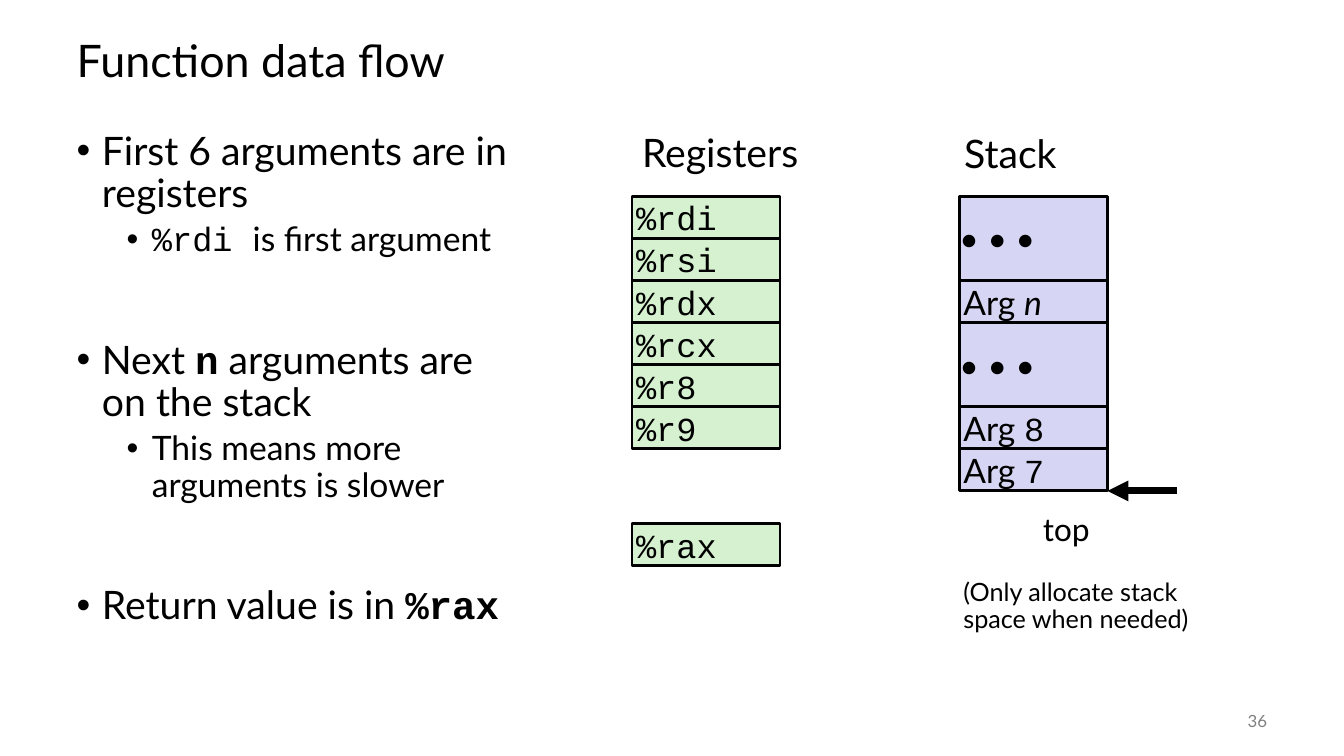
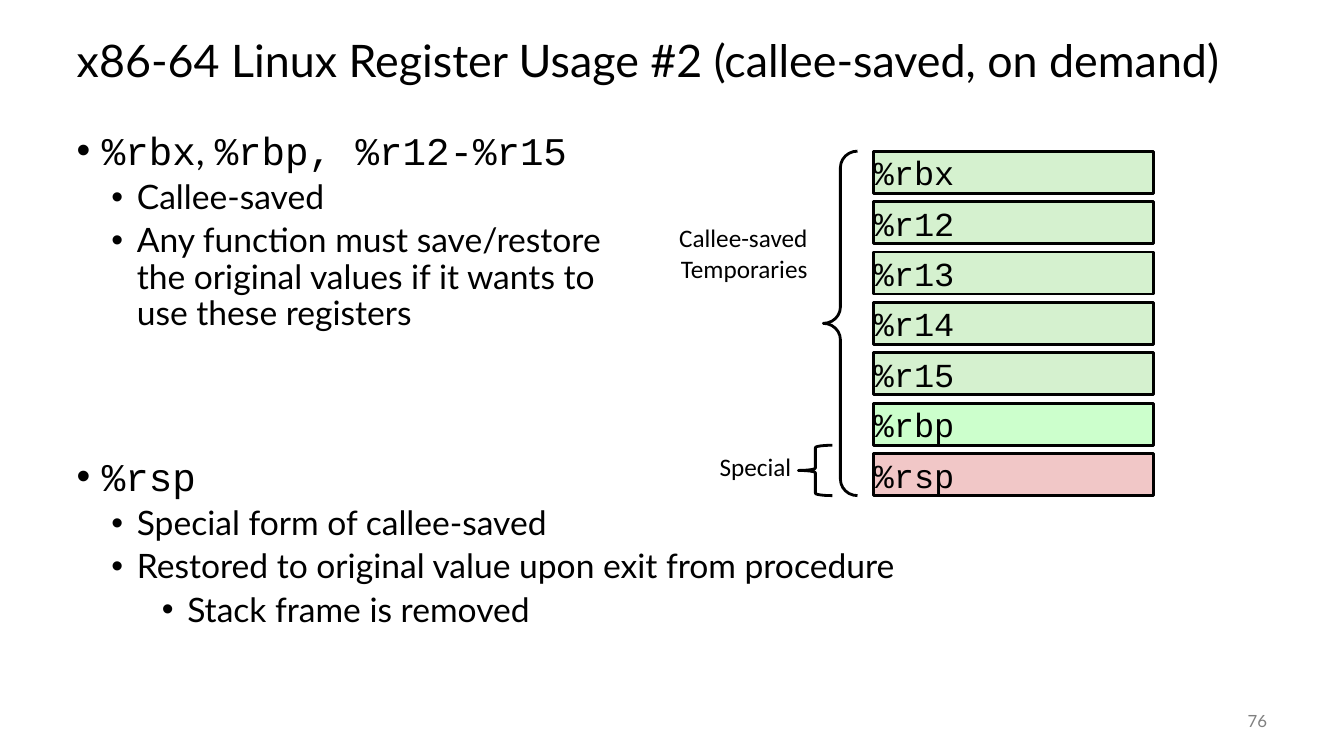
from lxml import etree
from pptx import Presentation
from pptx.dml.color import RGBColor
from pptx.enum.shapes import MSO_CONNECTOR, MSO_SHAPE
from pptx.enum.text import MSO_ANCHOR, MSO_AUTO_SIZE, PP_ALIGN
from pptx.oxml.ns import qn
from pptx.util import Cm, Pt

RECTANGLE, LEFT_BRACE = MSO_SHAPE.RECTANGLE, MSO_SHAPE.LEFT_BRACE
STRAIGHT = MSO_CONNECTOR.STRAIGHT
TOP, MIDDLE = MSO_ANCHOR.TOP, MSO_ANCHOR.MIDDLE
LEFT, RIGHT = PP_ALIGN.LEFT, PP_ALIGN.RIGHT
NO_AUTOFIT = MSO_AUTO_SIZE.NONE

COLORS = {
    "ink": "000000",
    "page_number": "808080",
    "register": "D5F1CF",
    "frame_register": "CCFFCC",
    "stack_register": "F1C7C7",
    "stack": "D6D6F4",
}
SANS, CODE, LABEL = "Lato", "Courier New", "Calibri"
TITLE_ONLY = 5
ROW = 1.06
BULLET_GAP = 0.64
# size and space before for each bullet level
LEVELS = [(28, 14), (24, 5), (24, 5)]


def rgb(name):
    return RGBColor.from_string(COLORS[name])


def write(frame, *runs, size=24, font=SANS, color="ink", align=LEFT, spacing=0.9,
          before=0, level=0, bullet_at=None):
    """Add a paragraph; a run is a string or a (string, font overrides) pair."""
    paragraph = frame.paragraphs[0]
    if paragraph.runs:
        paragraph = frame.add_paragraph()
        paragraph.space_before = Pt(before)
    paragraph.level = level
    if bullet_at is not None:
        properties = paragraph._p.get_or_add_pPr()
        properties.set("marL", str(Cm(bullet_at)))
        properties.set("indent", str(-Cm(BULLET_GAP)))
        etree.SubElement(properties, qn("a:buFont")).set("typeface", "Arial")
        etree.SubElement(properties, qn("a:buChar")).set("char", "•")
    paragraph.alignment = align
    paragraph.line_spacing = spacing
    for item in runs:
        text, overrides = (item, {}) if isinstance(item, str) else item
        for number, line in enumerate(text.split("\n")):
            if number:
                paragraph.add_line_break()
            run = paragraph.add_run()
            run.text = line
            run.font.size = Pt(size)
            run.font.name = overrides.get("font", font)
            run.font.bold = overrides.get("bold", False)
            run.font.italic = overrides.get("italic", False)
            run.font.color.rgb = rgb(color)


def code(text, bold=False):
    return text, {"font": CODE, "bold": bold}


def set_insets(frame, inset):
    frame.margin_left = frame.margin_right = Cm(inset)
    frame.margin_top = frame.margin_bottom = Cm(inset)


def text_area(slide, left, top, width, height, anchor=TOP, inset=None):
    frame = slide.shapes.add_textbox(Cm(left), Cm(top), Cm(width), Cm(height)).text_frame
    frame.word_wrap = True
    frame.vertical_anchor = anchor
    if inset is not None:
        set_insets(frame, inset)
    return frame


def outlined(slide, preset, left, top, width, height, fill=None):
    shape = slide.shapes.add_shape(preset, Cm(left), Cm(top), Cm(width), Cm(height))
    shape.shadow.inherit = False
    shape.line.color.rgb = rgb("ink")
    shape.line.width = Pt(2)
    if fill:
        shape.fill.solid()
        shape.fill.fore_color.rgb = rgb(fill)
    else:
        shape.fill.background()
    return shape


def cell(slide, left, top, width, height, runs, fill="register", font=CODE, inset=0.1):
    frame = outlined(slide, RECTANGLE, left, top, width, height, fill).text_frame
    frame.vertical_anchor = MIDDLE
    set_insets(frame, inset)
    write(frame, *runs, font=font, spacing=1)


def brace(slide, left, top, height, curve):
    shape = outlined(slide, LEFT_BRACE, left, top, 0.86, height)
    shape.adjustments[0] = curve


def arrow(slide, start_x, end_x, y):
    line = slide.shapes.add_connector(STRAIGHT, Cm(start_x), Cm(y), Cm(end_x), Cm(y))
    line.line.color.rgb = rgb("ink")
    line.line.width = Pt(5)
    etree.SubElement(line.line._get_or_add_ln(), qn("a:tailEnd")).set("type", "triangle")
    etree.SubElement(line._element.spPr, qn("a:effectLst"))


def titled_slide(deck, title, number):
    slide = deck.slides.add_slide(deck.slide_layouts[TITLE_ONLY])
    heading = slide.shapes.title
    heading.left, heading.top = Cm(1.68), Cm(0.64)
    heading.width, heading.height = Cm(30.48), Cm(1.9)
    heading.text_frame.auto_size = NO_AUTOFIT
    heading.text_frame.vertical_anchor = MIDDLE
    write(heading.text_frame, title, size=32)
    page = text_area(slide, 29.64, 17.65, 2.54, 1.02, anchor=MIDDLE)
    write(page, str(number), size=12, color="page_number", align=RIGHT, spacing=1)
    return slide


def bullet_list(slide, width, indents, points):
    """Place (level, extra space before, runs) points, indented by level."""
    frame = text_area(slide, 1.68, 3.18, width, 13.97)
    for level, extra, runs in points:
        size, before = LEVELS[level]
        write(frame, *runs, size=size, before=before + extra, level=level,
              bullet_at=indents[level])


def argument_registers(slide, left, top, width):
    write(text_area(slide, left, top - 1.7, 6, 1.78), "Registers", size=28)
    for row, name in enumerate(["%rdi", "%rsi", "%rdx", "%rcx", "%r8", "%r9"]):
        cell(slide, left, top + row * ROW, width, ROW, [name])
    cell(slide, left, top + 8.25, width, ROW, ["%rax"])


def argument_stack(slide, left, top, width):
    write(text_area(slide, left - 0.13, top - 1.67, 4.45, 1.78), "Stack", size=28)
    ellipsis = (2, ["• • •"], 0)
    entries = [
        ellipsis,
        (1, ["Arg ", ("n", {"italic": True})], 0.1),
        ellipsis,
        (1, ["Arg ", code("8")], 0.1),
        (1, ["Arg ", code("7")], 0.1),
    ]
    bottom = top
    for rows, runs, inset in entries:
        cell(slide, left, bottom, width, rows * ROW, runs, "stack", SANS, inset)
        bottom += rows * ROW
    right = left + width
    arrow(slide, right + 1.75, right, bottom)
    write(text_area(slide, right - 1.87, bottom + 0.3, 2.2, 1.27), "top",
          font=LABEL, spacing=1)
    write(text_area(slide, left - 0.15, bottom + 2.11, 6.5, 2.11),
          "(Only allocate stack space when needed)", size=18)


def saved_registers(slide, left, top, width):
    pitch = 1.27
    names = ["%rbx", "%r12", "%r13", "%r14", "%r15", "%rbp", "%rsp"]
    fills = {"%rbp": "frame_register", "%rsp": "stack_register"}
    for row, name in enumerate(names):
        cell(slide, left, top + row * pitch, width, ROW, [name],
             fills.get(name, "register"), inset=0)
    bottom = top + (len(names) - 1) * pitch + ROW
    brace(slide, left - 1.27, top, bottom - top, 0.48)
    brace(slide, left - 1.9, bottom - pitch, pitch, 0.07)
    labels = [
        (left - 1.57, top + 1.7, ["Callee-saved", "Temporaries"]),
        (left - 1.98, bottom - 1.21, ["Special"]),
    ]
    for right, label_top, lines in labels:
        frame = text_area(slide, right - 4, label_top, 4, 0.8 * len(lines), inset=0.1)
        for line in lines:
            write(frame, line, size=18, font=LABEL, align=RIGHT, spacing=1)


def data_flow_slide(deck):
    slide = titled_slide(deck, "Function data flow", 36)
    bullet_list(slide, 11.61, [0.64, 1.9], [
        (0, 0, ["First 6 arguments are in registers"]),
        (1, 0, [code("%rdi "), "is first argument"]),
        (0, 44, ["Next ", code("n", bold=True), " arguments are on the stack"]),
        (1, 0, ["This means more arguments is slower"]),
        (0, 44, ["Return value is in ", code("%rax", bold=True)]),
    ])
    argument_registers(slide, 15.93, 4.95, 3.73)
    argument_stack(slide, 24.18, 4.95, 3.73)


def register_usage_slide(deck):
    slide = titled_slide(
        deck, "x86-64 Linux Register Usage #2 (callee-saved, on demand)", 76)
    bullet_list(slide, 30.48, [0.64, 1.52, 2.79], [
        (0, 0, [code("%rbx"), ", ", code("%rbp, %r12-%r15")]),
        (1, 0, ["Callee-saved"]),
        (1, 0, ["Any function must save/restore\n"
                "the original values if it wants to\n"
                "use these registers"]),
        (0, 75, [code("%rsp")]),
        (1, 0, ["Special form of callee-saved"]),
        (1, 0, ["Restored to original value upon exit from procedure"]),
        (2, 0, ["Stack frame is removed"]),
    ])
    saved_registers(slide, 22.02, 3.81, 7.06)


def main():
    deck = Presentation()
    deck.slide_width, deck.slide_height = Cm(33.87), Cm(19.05)
    data_flow_slide(deck)
    register_usage_slide(deck)
    deck.save("out.pptx")


if __name__ == "__main__":
    main()
